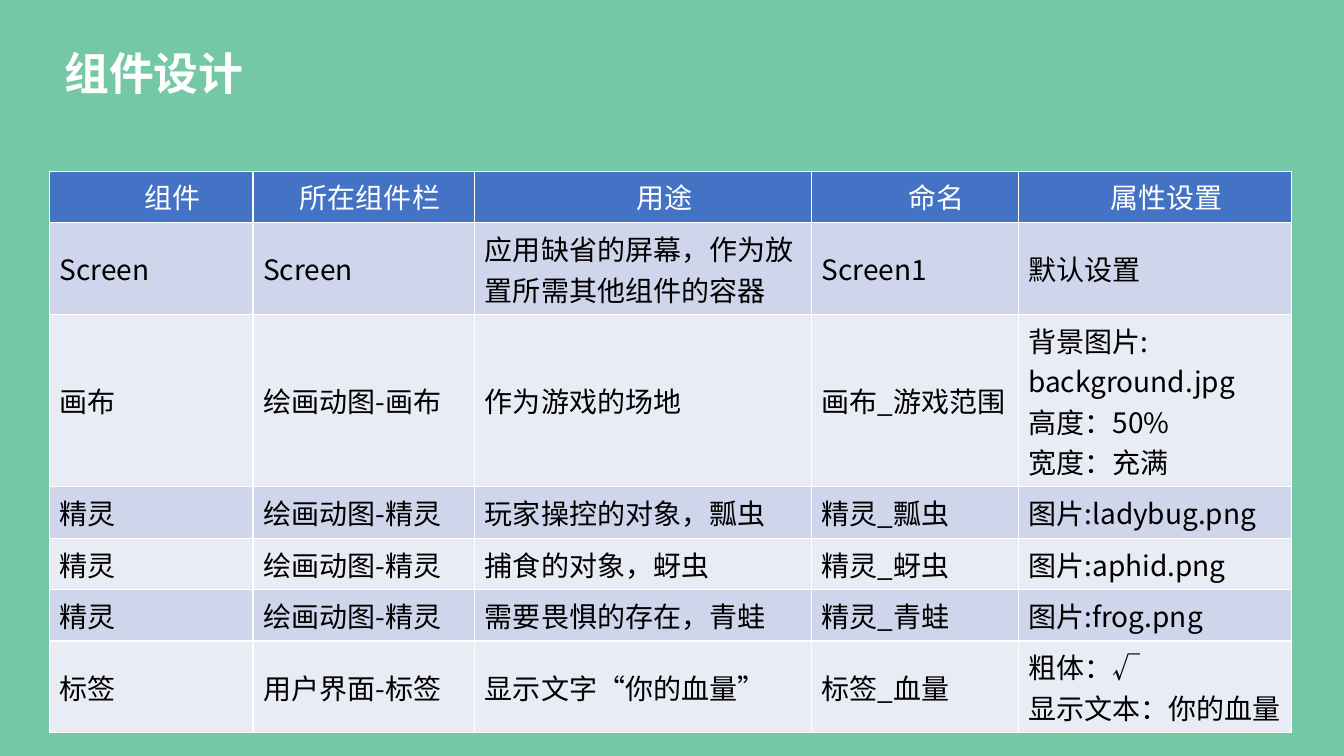
from dataclasses import dataclass

from lxml.etree import SubElement
from pptx import Presentation
from pptx.dml.color import RGBColor
from pptx.enum.text import MSO_ANCHOR, PP_ALIGN
from pptx.oxml.ns import qn
from pptx.util import Inches, Pt

TITLE = "组件设计"
# Each heading is centred past an extra left indent, counted in steps.
HEADS = [("组件", 7), ("所在组件栏", 2), ("用途", 7), ("命名", 7), ("属性设置", 4)]
ROWS = [
    ("Screen", "Screen", "应用缺省的屏幕，作为放置所需其他组件的容器", "Screen1", "默认设置"),
    ("画布", "绘画动图-画布", "作为游戏的场地", "画布_游戏范围",
     "背景图片: background.jpg\n高度：50%\n宽度：充满"),
    ("精灵", "绘画动图-精灵", "玩家操控的对象，瓢虫", "精灵_瓢虫", "图片:ladybug.png"),
    ("精灵", "绘画动图-精灵", "捕食的对象，蚜虫", "精灵_蚜虫", "图片:aphid.png"),
    ("精灵", "绘画动图-精灵", "需要畏惧的存在，青蛙", "精灵_青蛙", "图片:frog.png"),
    ("标签", "用户界面-标签", "显示文字“你的血量”", "标签_血量", "粗体：√\n显示文本：你的血量"),
]
WIDTHS = [2.02, 2.2, 3.34, 2.05, 2.71]
LINES = [1, 2, 4, 1, 1, 1, 2]
PITCH, PAD = 0.4, 0.11
HEIGHTS = [PAD + PITCH * n for n in LINES]
STEP = 0.06


@dataclass(frozen=True)
class Theme:
    font: str = "Noto Sans CJK SC"
    back: str = "74C8A6"
    head: str = "4472C4"
    bands: tuple = ("CFD5EA", "E9EBF5")
    white: str = "FFFFFF"
    black: str = "000000"
    title: int = 32
    body: int = 20
    line: int = 1


THEME = Theme()


def paint(fill, color):
    fill.solid()
    fill.fore_color.rgb = RGBColor.from_string(color)


def write(frame, text, size, color, bold=False):
    """Fill a text frame, one paragraph for each line of text."""
    for i, line in enumerate(text.split("\n")):
        par = frame.add_paragraph() if i else frame.paragraphs[0]
        run = par.add_run()
        run.text = line
        font = run.font
        font.size, font.bold, font.name = Pt(size), bold, THEME.font
        font.color.rgb = RGBColor.from_string(color)
        SubElement(font._element, qn("a:ea"), typeface=THEME.font)


def edge(cell):
    """Draw white cell borders."""
    props = cell._tc.get_or_add_tcPr()
    for i, side in enumerate("LRTB"):
        line = SubElement(props, qn(f"a:ln{side}"), w=str(Pt(THEME.line)))
        fill = SubElement(line, qn("a:solidFill"))
        SubElement(fill, qn("a:srgbClr"), val=THEME.white)
        props.insert(i, line)


def add_title(slide):
    box = slide.shapes.add_textbox(Inches(0.54), Inches(0.47), Inches(6.13), Inches(0.69))
    frame = box.text_frame
    frame.word_wrap = True
    frame.margin_top = Inches(0.04)
    write(frame, TITLE, THEME.title, THEME.white, True)
    frame.paragraphs[0].line_spacing = 0.9


def add_grid(slide):
    table = slide.shapes.add_table(
        len(HEIGHTS), len(WIDTHS), Inches(0.49), Inches(1.7),
        Inches(sum(WIDTHS)), Inches(sum(HEIGHTS))).table
    for col, width in zip(table.columns, WIDTHS):
        col.width = Inches(width)
    for row, height in zip(table.rows, HEIGHTS):
        row.height = Inches(height)

    for c, (text, steps) in enumerate(HEADS):
        cell = table.cell(0, c)
        paint(cell.fill, THEME.head)
        edge(cell)
        cell.margin_left = Inches(0.1 + steps * STEP)
        write(cell.text_frame, text, THEME.body, THEME.white)
        cell.text_frame.paragraphs[0].alignment = PP_ALIGN.CENTER

    for r, texts in enumerate(ROWS):
        for c, text in enumerate(texts):
            cell = table.cell(r + 1, c)
            paint(cell.fill, THEME.bands[r % 2])
            edge(cell)
            cell.vertical_anchor = MSO_ANCHOR.MIDDLE
            write(cell.text_frame, text, THEME.body, THEME.black)


def main():
    deck = Presentation()
    deck.slide_width, deck.slide_height = Inches(13.33), Inches(7.5)
    slide = deck.slides.add_slide(deck.slide_layouts[6])
    paint(slide.background.fill, THEME.back)
    add_title(slide)
    add_grid(slide)
    deck.save("out.pptx")


if __name__ == "__main__":
    main()
